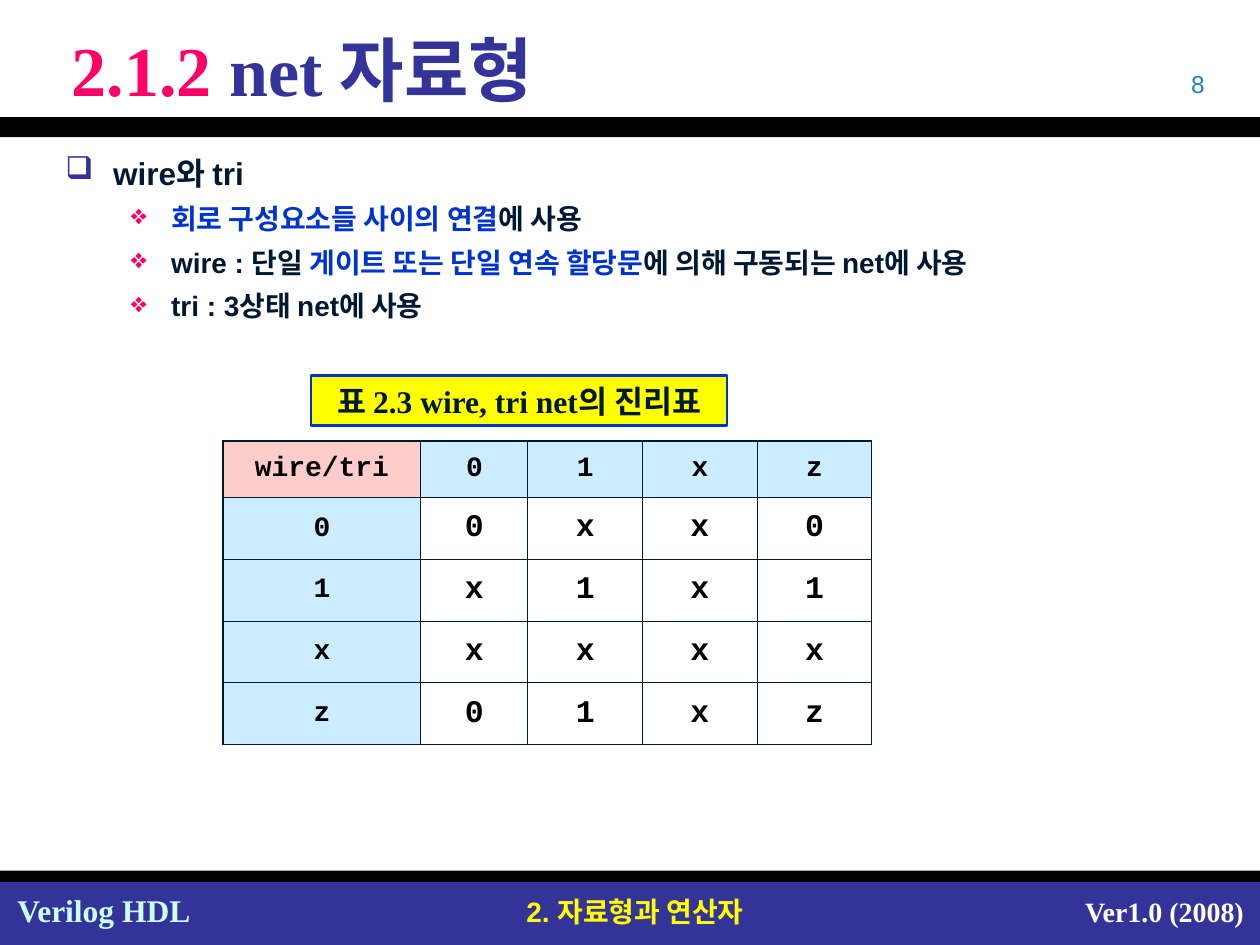
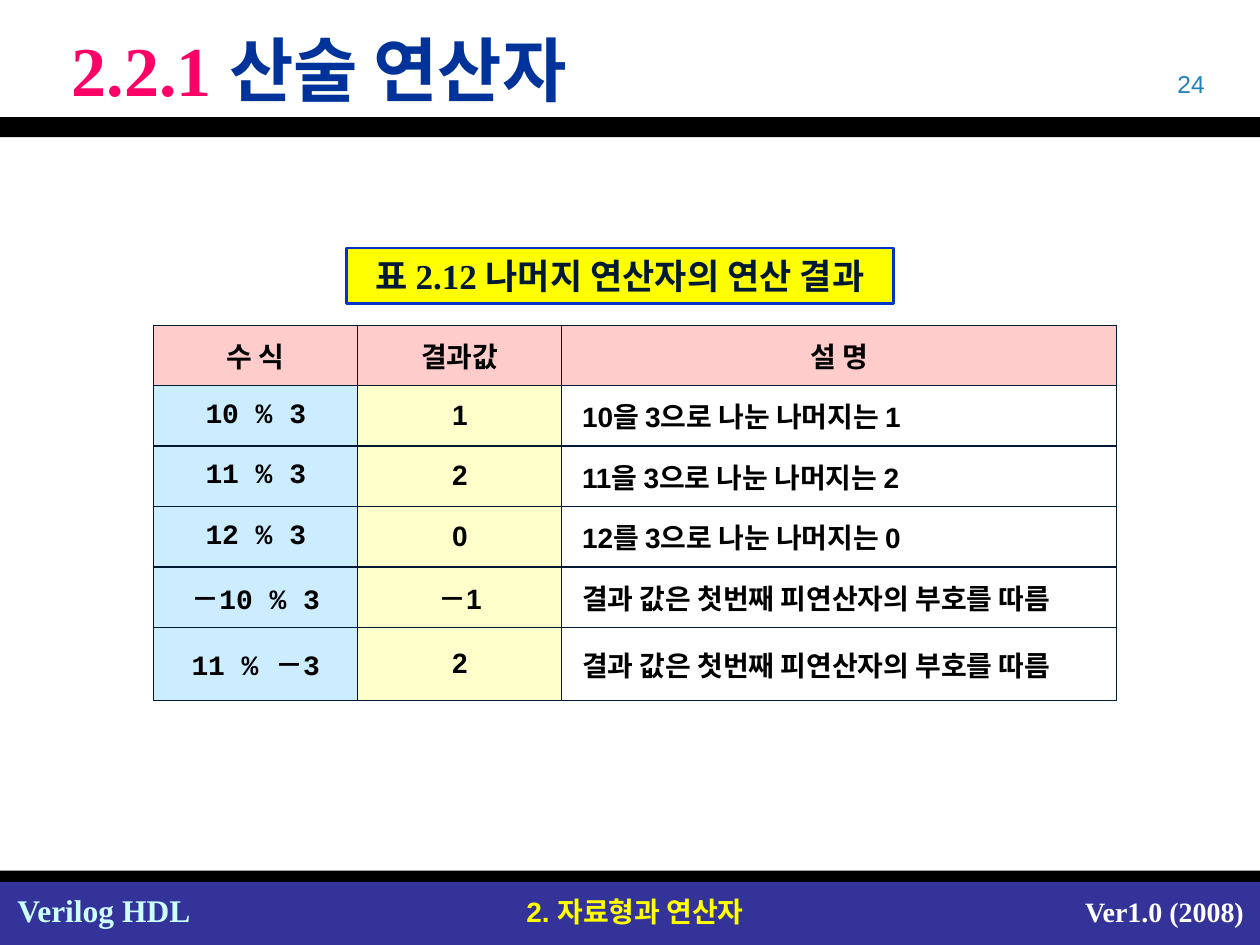
import pptx
import pptx.util
import pptx.dml.color
import pptx.enum.shapes
import pptx.enum.text
import pptx.oxml
import pptx.oxml.ns

Inches = pptx.util.Inches
Pt = pptx.util.Pt
RGBColor = pptx.dml.color.RGBColor
Align = pptx.enum.text.PP_ALIGN
Anchor = pptx.enum.text.MSO_ANCHOR
RECT = pptx.enum.shapes.MSO_SHAPE.RECTANGLE

BLACK = RGBColor(0x00, 0x00, 0x00)
WHITE = RGBColor(0xFF, 0xFF, 0xFF)
INK = RGBColor(0x00, 0x19, 0x32)
INDIGO = RGBColor(0x33, 0x33, 0x99)
NAVY = RGBColor(0x00, 0x33, 0x99)
BLUE = RGBColor(0x00, 0x33, 0xCC)
STEEL = RGBColor(0x21, 0x81, 0xB7)
PINK = RGBColor(0xFF, 0x00, 0x66)
YELLOW = RGBColor(0xFF, 0xFF, 0x00)
AQUA = RGBColor(0xCC, 0xFF, 0xFF)
ROSE = RGBColor(0xFF, 0xCC, 0xCC)
SKY = RGBColor(0xCC, 0xEC, 0xFF)
CREAM = RGBColor(0xFF, 0xFF, 0xCC)

SERIF = "Times New Roman"
SANS = "Arial"
MONO = "Courier New"


def write(para, text, size, name, color, bold=True):
    run = para.add_run()
    run.text = text
    look = {"size": Pt(size), "name": name, "bold": bold}
    for key, value in look.items():
        setattr(run.font, key, value)
    run.font.color.rgb = color


def block(slide, place, fill, edge=None):
    shape = slide.shapes.add_shape(RECT, *map(Inches, place))
    shape.shadow.inherit = False
    shape.fill.solid()
    shape.fill.fore_color.rgb = fill
    if edge is None:
        shape.line.fill.background()
    else:
        shape.line.color.rgb = edge
        shape.line.width = Pt(1.5)
    return shape


bands = [
    ((0, 7, 10, 0.5), INDIGO),
    ((0, 0.93, 10, 0.16), BLACK),
    ((0, 6.91, 10, 0.09), BLACK),
]
notes = [
    ((3.9, 7.05, 2.28, 0.37), Align.CENTER, "2. 자료형과 연산자", 16, SANS, YELLOW),
    ((8.39, 7.05, 1.58, 0.37), Align.RIGHT, "Ver1.0 (2008)", 16, SERIF, WHITE),
    ((0.04, 7.02, 1.58, 0.4), Align.LEFT, "Verilog HDL", 18, SERIF, AQUA),
]
pages = [
    {
        "title": [("2.1.2 ", PINK), ("net 자료형", INDIGO)],
        "number": "8",
        "label": ("표 2.3 wire, tri net의 진리표", 18, (2.47, 2.98, 3.3, 0.4)),
        "spot": (1.77, 3.5),
        "cols": [1.57, 0.85, 0.91, 0.91, 0.91],
        "rows": [0.45] + [0.49] * 4,
        "cells": [
            ["wire/tri", "0", "1", "x", "z"],
            ["0", "0", "x", "x", "0"],
            ["1", "x", "1", "x", "1"],
            ["x", "x", "x", "x", "x"],
            ["z", "0", "1", "x", "z"],
        ],
        "head": [ROSE] + [SKY] * 4,
        "fills": [SKY] + [None] * 4,
        "fonts": [MONO] * 5,
        "top": MONO,
        "sizes": [16] + [18] * 4,
        "align": [Align.CENTER] * 5,
    },
    {
        "title": [("2.2.1 ", PINK), ("산술 연산자", NAVY)],
        "number": "24",
        "label": ("표 2.12 나머지 연산자의 연산 결과", 20, (2.75, 1.97, 4.34, 0.44)),
        "spot": (1.22, 2.58),
        "cols": [1.62, 1.62, 4.4],
        "rows": [0.48] * 5 + [0.58],
        "cells": [
            ["수 식", "결과값", "설 명"],
            ["10 % 3", "1", "10을 3으로 나눈 나머지는 1"],
            ["11 % 3", "2", "11을 3으로 나눈 나머지는 2"],
            ["12 % 3", "0", "12를 3으로 나눈 나머지는 0"],
            ["－10 % 3", "－1", "결과 값은 첫번째 피연산자의 부호를 따름"],
            ["11 % －3", "2", "결과 값은 첫번째 피연산자의 부호를 따름"],
        ],
        "head": [ROSE] * 3,
        "fills": [SKY, CREAM, None],
        "fonts": [MONO, SANS, SANS],
        "top": SANS,
        "sizes": [16] * 3,
        "align": [Align.CENTER, Align.CENTER, Align.LEFT],
    },
]

deck = pptx.Presentation()
deck.slide_width = Inches(10)
deck.slide_height = Inches(7.5)

for page in pages:
    slide = deck.slides.add_slide(deck.slide_layouts[5])
    for place, color in bands:
        block(slide, place, color)
    count = ((7.33, 0.5, 2.33, 0.33), Align.RIGHT, page["number"], 14, SANS, STEEL)
    for place, align, text, size, name, color in notes + [count]:
        frame = slide.shapes.add_textbox(*map(Inches, place)).text_frame
        frame.word_wrap = True
        para = frame.paragraphs[0]
        para.alignment = align
        write(para, text, size, name, color, bold=size > 14)

    title = slide.shapes.title
    spot = {"left": 0.17, "top": 0.13, "width": 9.67, "height": 0.83}
    for key, value in spot.items():
        setattr(title, key, Inches(value))
    form = {
        "margin_left": Inches(0.4),
        "vertical_anchor": Anchor.MIDDLE,
        "auto_size": pptx.enum.text.MSO_AUTO_SIZE.NONE,
    }
    for key, value in form.items():
        setattr(title.text_frame, key, value)
    para = title.text_frame.paragraphs[0]
    para.alignment = Align.LEFT
    for text, color in page["title"]:
        write(para, text, 40, SERIF, color)

    text, size, place = page["label"]
    frame = block(slide, place, YELLOW, BLUE).text_frame
    frame.word_wrap = False
    frame.paragraphs[0].alignment = Align.CENTER
    write(frame.paragraphs[0], text, size, SERIF, INK)

    cols, rows = page["cols"], page["rows"]
    area = (*page["spot"], sum(cols), sum(rows))
    table = slide.shapes.add_table(len(rows), len(cols), *map(Inches, area)).table
    table.first_row = table.horz_banding = False
    for col, width in zip(table.columns, cols):
        col.width = Inches(width)
    for r, height in enumerate(rows):
        table.rows[r].height = Inches(height)
        for c, text in enumerate(page["cells"][r]):
            cell = table.cell(r, c)
            cell.vertical_anchor = Anchor.MIDDLE
            align = page["align"][c] if r else Align.CENTER
            if align == Align.LEFT:
                cell.margin_left = Inches(0.16)
            for side in ("lnL", "lnR", "lnT", "lnB"):
                cell._tc.get_or_add_tcPr().append(pptx.oxml.parse_xml(
                    f'<a:{side} {pptx.oxml.ns.nsdecls("a")} w="{Pt(0.75)}">'
                    f'<a:solidFill><a:srgbClr val="{INK}"/></a:solidFill></a:{side}>'))
            fill = page["fills" if r else "head"][c]
            if fill is None:
                cell.fill.background()
            else:
                cell.fill.solid()
                cell.fill.fore_color.rgb = fill
            para = cell.text_frame.paragraphs[0]
            para.alignment = align
            name = page["fonts"][c] if r else page["top"]
            write(para, text, page["sizes"][c] if r else 16, name, BLACK)

points = [
    (0, [("wire와 tri", INK)]),
    (1, [("회로 구성요소들 사이의 연결", BLUE), ("에 사용", INK)]),
    (1, [("wire : 단일 ", INK), ("게이트 또는 단일 연속 할당문", BLUE),
         ("에 의해 구동되는 net에 사용", INK)]),
    (1, [("tri : 3상태 net에 사용", INK)]),
]
levels = [
    {"mark": "❑", "color": INDIGO, "size": 18, "left": 0.38, "hang": 0.38},
    {"mark": "❖", "color": PINK, "size": 16, "left": 0.84, "hang": 0.32},
]
place = (0.42, 1.08, 9.25, 2.04)
frame = deck.slides[0].shapes.add_textbox(*map(Inches, place)).text_frame
frame.word_wrap = True
for i, (level, parts) in enumerate(points):
    para = frame.add_paragraph() if i else frame.paragraphs[0]
    kind = levels[level]
    para.level = level
    para.line_spacing = 1.3
    props = para._p.get_or_add_pPr()
    props.set("marL", str(Inches(kind["left"])))
    props.set("indent", str(-Inches(kind["hang"])))
    space = pptx.oxml.ns.nsdecls("a")
    props.append(pptx.oxml.parse_xml(
        f'<a:buClr {space}><a:srgbClr val="{kind["color"]}"/></a:buClr>'))
    props.append(pptx.oxml.parse_xml(f'<a:buChar {space} char="{kind["mark"]}"/>'))
    for text, color in parts:
        write(para, text, kind["size"], SANS, color)

deck.save("out.pptx")
